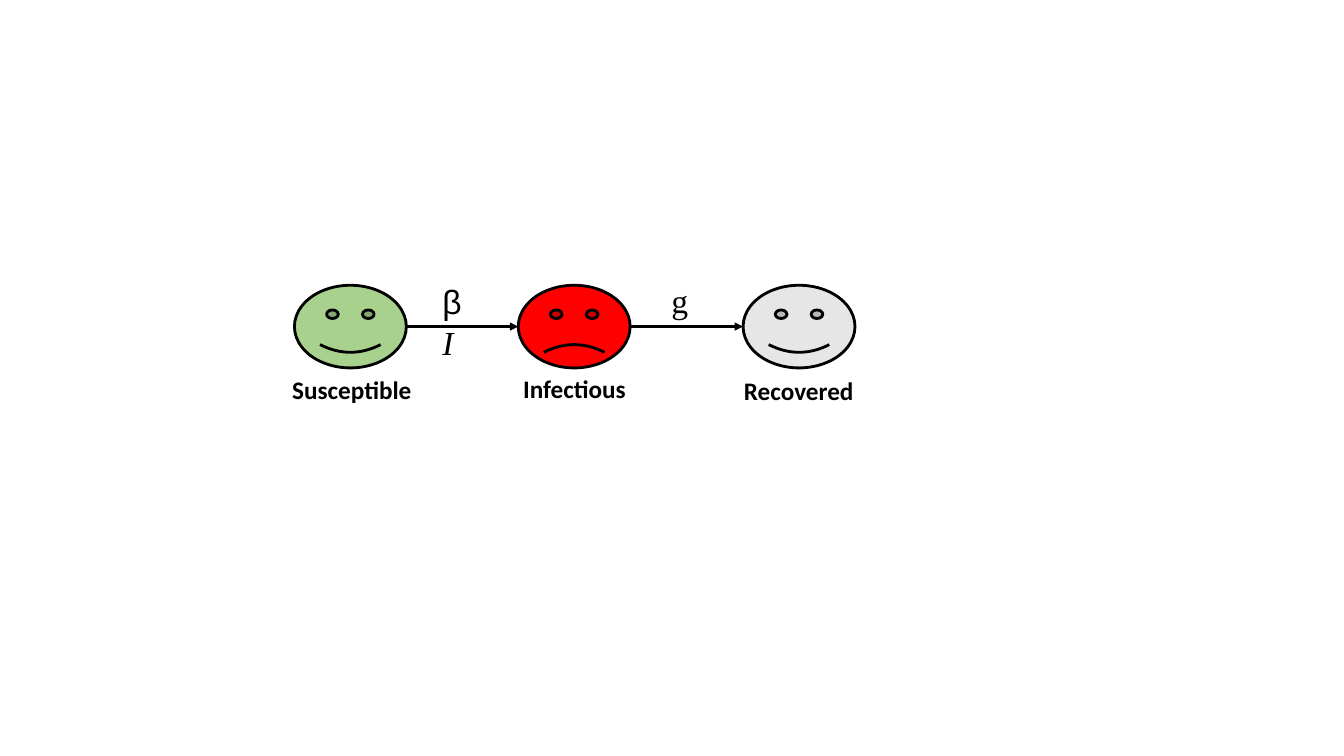
from dataclasses import dataclass
from itertools import pairwise

from lxml import etree
from pptx import Presentation
from pptx.dml.color import RGBColor
from pptx.enum.shapes import MSO_CONNECTOR, MSO_SHAPE
from pptx.enum.text import MSO_AUTO_SIZE
from pptx.oxml.ns import qn
from pptx.slide import Slide
from pptx.util import Emu, Pt

SMILEY = MSO_SHAPE.SMILEY_FACE
STRAIGHT = MSO_CONNECTOR.STRAIGHT
GROW = MSO_AUTO_SIZE.SHAPE_TO_FIT_TEXT

EMU_PER_PX = 9144  # 100 px to the inch
FACE_TOP, FACE_WIDTH, FACE_HEIGHT = 283, 111, 82
SMILE = 0.047


@dataclass(frozen=True)
class Theme:
    ink: RGBColor = RGBColor(0, 0, 0)
    susceptible: RGBColor = RGBColor(0xA9, 0xD1, 0x8E)
    infectious: RGBColor = RGBColor(0xFF, 0, 0)
    recovered: RGBColor = RGBColor(0xE7, 0xE6, 0xE6)
    label_size: Pt = Pt(18)
    rate_size: Pt = Pt(24)
    line_width: Pt = Pt(2)


THEME = Theme()
LABEL_FORMAT = {"name": "Calibri", "size": THEME.label_size, "bold": True}
GREEK_FORMAT = {"name": "Arial", "size": THEME.rate_size}
RATE_FORMAT = {"name": "Times New Roman", "size": THEME.rate_size}
VARIABLE_FORMAT = {**RATE_FORMAT, "italic": True}


@dataclass(frozen=True)
class Face:
    left: int
    color: RGBColor
    mouth: float


@dataclass(frozen=True)
class Caption:
    left: int
    top: int
    width: int
    height: int
    runs: tuple[tuple[str, dict], ...]
    wrap: bool = False


FACES = (
    Face(292, THEME.susceptible, SMILE),
    Face(514, THEME.infectious, -SMILE),
    Face(737, THEME.recovered, SMILE),
)
CAPTIONS = (
    Caption(280, 366, 139, 40, (("Susceptible", LABEL_FORMAT),)),
    Caption(509, 365, 123, 40, (("Infectious", LABEL_FORMAT),)),
    Caption(728, 367, 130, 40, (("Recovered", LABEL_FORMAT),)),
    Caption(429, 274, 49, 50, (("β", GREEK_FORMAT), ("I", VARIABLE_FORMAT)), True),
    Caption(656, 273, 37, 50, (("g", RATE_FORMAT),)),
)


def px(*lengths: int) -> list[Emu]:
    return [Emu(length * EMU_PER_PX) for length in lengths]


def add_face(slide: Slide, face: Face) -> None:
    shape = slide.shapes.add_shape(
        SMILEY, *px(face.left, FACE_TOP, FACE_WIDTH, FACE_HEIGHT)
    )
    shape.adjustments[0] = face.mouth
    shape.shadow.inherit = False
    shape.fill.solid()
    shape.fill.fore_color.rgb = face.color
    shape.line.color.rgb = THEME.ink
    shape.line.width = THEME.line_width


def add_arrow(slide: Slide, source: Face, target: Face) -> None:
    middle = FACE_TOP + FACE_HEIGHT // 2
    arrow = slide.shapes.add_connector(
        STRAIGHT, *px(source.left + FACE_WIDTH, middle, target.left, middle)
    )
    arrow.line.color.rgb = THEME.ink
    arrow.line.width = THEME.line_width
    properties = arrow._element.spPr
    etree.SubElement(properties.find(qn("a:ln")), qn("a:tailEnd"), type="triangle")
    etree.SubElement(properties, qn("a:effectLst"))


def add_caption(slide: Slide, caption: Caption) -> None:
    box = slide.shapes.add_textbox(
        *px(caption.left, caption.top, caption.width, caption.height)
    )
    frame = box.text_frame
    frame.word_wrap = caption.wrap
    frame.auto_size = GROW
    for text, font_format in caption.runs:
        run = frame.paragraphs[0].add_run()
        run.text = text
        run.font.color.rgb = THEME.ink
        for attribute, value in font_format.items():
            setattr(run.font, attribute, value)


def main() -> None:
    presentation = Presentation()
    presentation.slide_width, presentation.slide_height = px(1333, 750)
    slide = presentation.slides.add_slide(presentation.slide_layouts[6])

    # Compartments
    for face in FACES:
        add_face(slide, face)

    # Transitions between neighbours
    for source, target in pairwise(FACES):
        add_arrow(slide, source, target)

    # Compartment names and transition rates
    for caption in CAPTIONS:
        add_caption(slide, caption)

    presentation.save("out.pptx")


if __name__ == "__main__":
    main()
